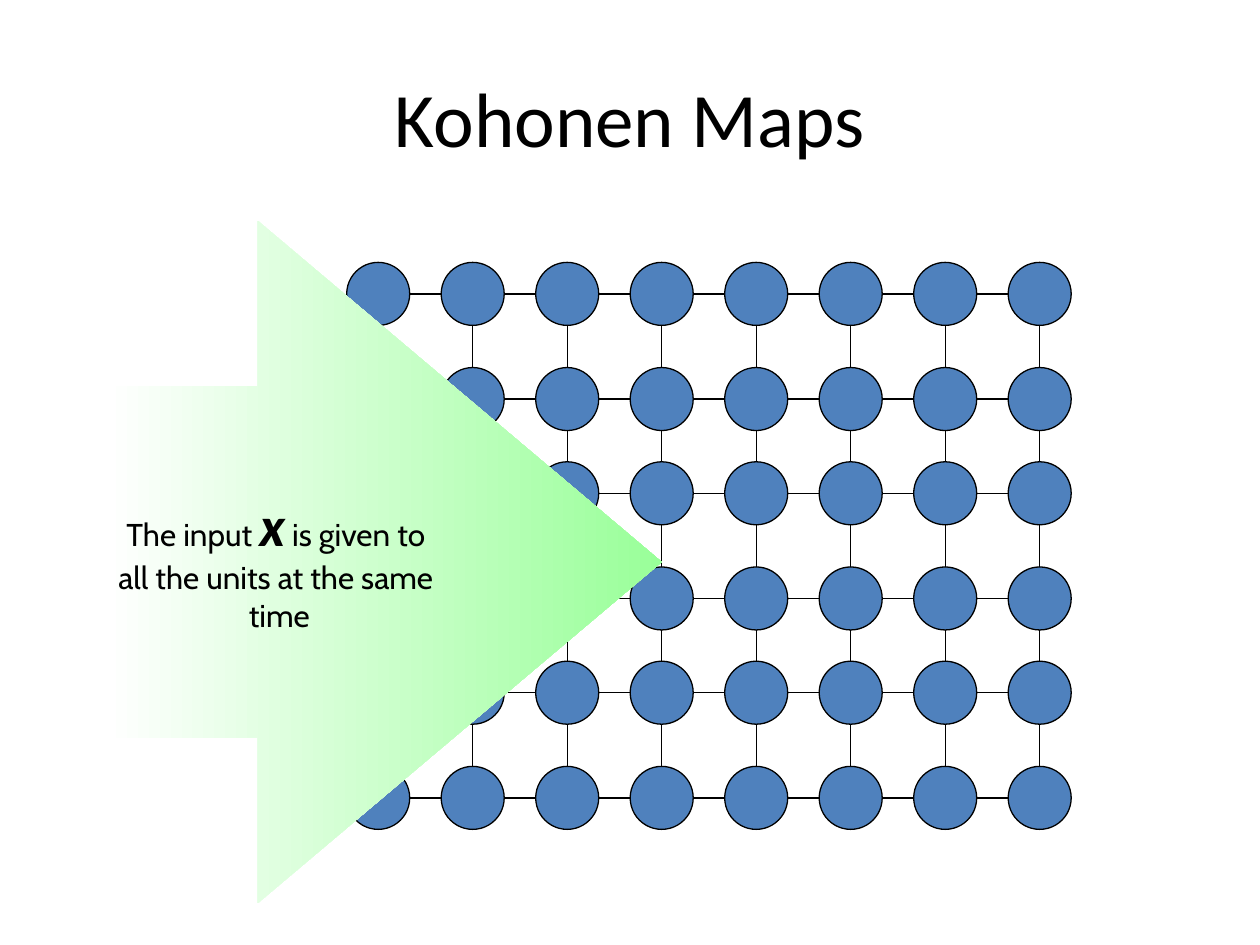
from lxml.etree import SubElement
from pptx import Presentation
from pptx.dml.color import RGBColor
from pptx.enum.shapes import MSO_CONNECTOR, MSO_SHAPE
from pptx.enum.text import MSO_ANCHOR, PP_ALIGN
from pptx.oxml.ns import qn
from pptx.util import Cm, Pt

COLORS = {"ink": "000000", "unit": "4F81BD", "fade": "FFFFFF", "input": "99FF99"}
COLUMNS, ROWS = 8, 6
UNIT_SIZE = 1.27
LINE_WIDTH = Pt(0.75)


def color(name):
    return RGBColor.from_string(COLORS[name])


def add_span(para, text, **formats):
    span = para.add_run()
    span.text = text
    span.font.color.rgb = color("ink")
    for name, value in formats.items():
        setattr(span.font, name, value)


deck = Presentation()
deck.slide_width, deck.slide_height = Cm(25.4), Cm(19.05)
page = deck.slides.add_slide(deck.slide_layouts[5])

# Title
title = page.shapes.title
title.left, title.top, title.width, title.height = Cm(1.27), Cm(0.76), Cm(22.86), Cm(3.18)
title.text_frame.vertical_anchor = MSO_ANCHOR.MIDDLE
title_para = title.text_frame.paragraphs[0]
title_para.alignment = PP_ALIGN.CENTER
add_span(title_para, "Kohonen Maps", name="Calibri", size=Pt(44))

# Grid of units: even columns, rows with alternating gaps
lefts = [6.99 + 1.5 * UNIT_SIZE * column for column in range(COLUMNS)]
tops = [5.29 + 4.02 * (row // 2) + 2.12 * (row % 2) for row in range(ROWS)]
grid = page.shapes.add_group_shape()
links = []
for row, top in enumerate(tops):
    for column, left in enumerate(lefts):
        unit = grid.shapes.add_shape(
            MSO_SHAPE.OVAL, Cm(left), Cm(top), Cm(UNIT_SIZE), Cm(UNIT_SIZE))
        unit.shadow.inherit = False
        unit.fill.solid()
        unit.fill.fore_color.rgb = color("unit")
        unit.line.color.rgb = color("ink")
        unit.line.width = LINE_WIDTH
        center_x, center_y = left + UNIT_SIZE / 2, top + UNIT_SIZE / 2
        if column < COLUMNS - 1:
            links.append((left + UNIT_SIZE, center_y, lefts[column + 1], center_y))
        if row < ROWS - 1:
            links.append((center_x, tops[row + 1], center_x, top + UNIT_SIZE))

# Links between neighbouring units
for ends in links:
    link = grid.shapes.add_connector(MSO_CONNECTOR.STRAIGHT, *[Cm(end) for end in ends])
    link.line.color.rgb = color("ink")
    link.line.width = LINE_WIDTH
    SubElement(link._element.spPr, qn("a:effectLst"))

# Input arrow with gradient
arrow = page.shapes.add_shape(
    MSO_SHAPE.RIGHT_ARROW, Cm(2.12), Cm(4.45), Cm(11.22), Cm(13.76))
arrow.adjustments[0], arrow.adjustments[1] = 0.515, 0.726
arrow.shadow.inherit = False
arrow.line.fill.background()
arrow.fill.gradient()
arrow.fill.gradient_angle = 0
for stop, position, name in zip(arrow.fill.gradient_stops, (0, 1), ("fade", "input")):
    stop.position = position
    stop.color.rgb = color(name)

# Arrow text
body = {"name": "Cabin", "size": Pt(18)}
symbol = {"name": "Calibri", "size": Pt(32), "bold": True, "italic": True}
lines = [
    [("The input ", body), ("x", symbol), (" is given to ", body)],
    [("all the units at the same ", body)],
    [("time", body)],
]
frame = arrow.text_frame
frame.word_wrap = False
frame.vertical_anchor = MSO_ANCHOR.MIDDLE
for index, spans in enumerate(lines):
    para = frame.add_paragraph() if index else frame.paragraphs[0]
    para.alignment = PP_ALIGN.CENTER
    for text, formats in spans:
        add_span(para, text, **formats)

deck.save("out.pptx")
